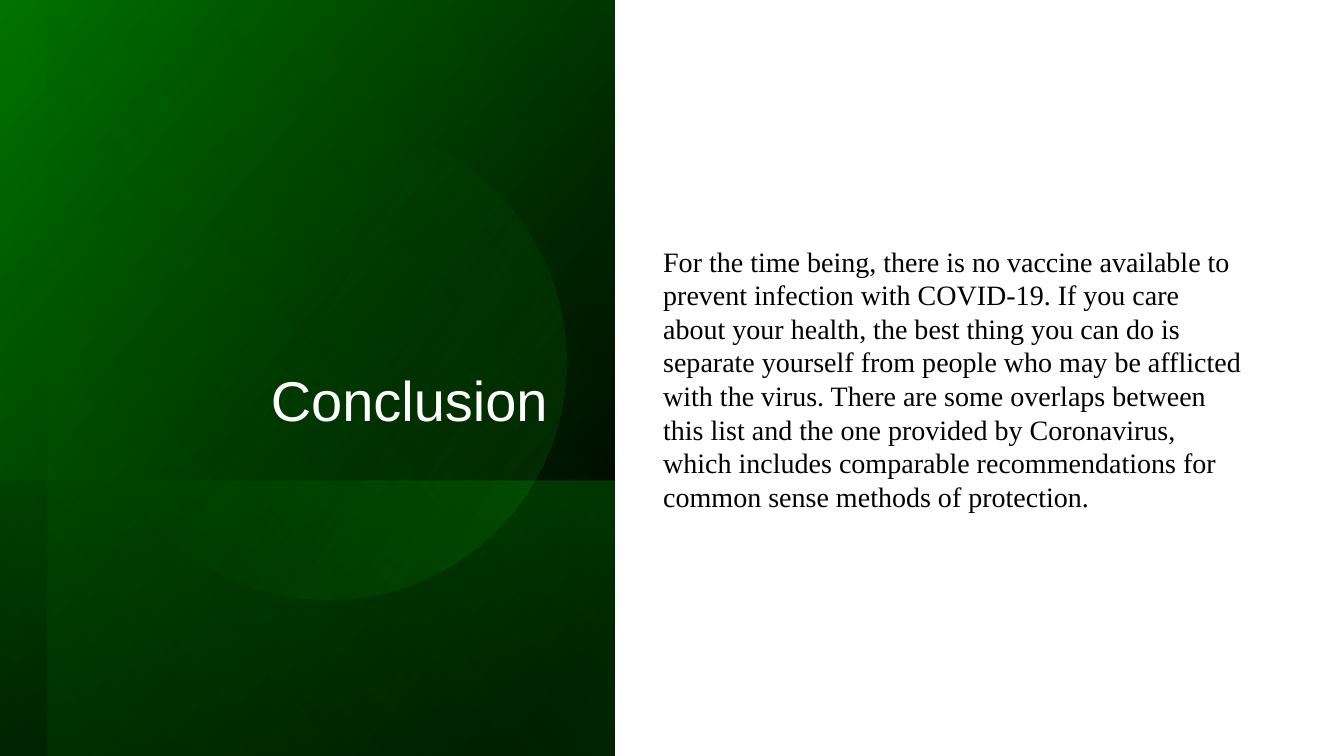
"""Build the Conclusion slide: a layered green gradient panel beside a closing paragraph."""
from lxml import etree
from pptx import Presentation
from pptx.dml.color import RGBColor
from pptx.enum.shapes import MSO_SHAPE
from pptx.enum.text import MSO_ANCHOR, PP_ALIGN
from pptx.oxml.ns import qn
from pptx.util import Pt

RECTANGLE, OVAL = MSO_SHAPE.RECTANGLE, MSO_SHAPE.OVAL
BOTTOM, MIDDLE = MSO_ANCHOR.BOTTOM, MSO_ANCHOR.MIDDLE
LEFT, RIGHT = PP_ALIGN.LEFT, PP_ALIGN.RIGHT

COLORS = {
    "black": "000000",
    "white": "FFFFFF",
    "deep green": "007300",
    "green": "009900",
    "bright green": "29FF29",
}

presentation = Presentation()
presentation.slide_width, presentation.slide_height = Pt(960), Pt(540)
slide = presentation.slides.add_slide(presentation.slide_layouts[6])

# kind, box, rotation, flipped, gradient angle, stops of (position, color, opacity)
LAYERS = [
    (RECTANGLE, (-50.4, 50.4, 540, 439.2), 90, True, 50,
     [(8, "black", 100), (100, "deep green", 100)]),
    (RECTANGLE, (120.6, 222, 197.3, 439.2), 90, True, 130,
     [(2, "green", 29), (100, "black", 30)]),
    (RECTANGLE, (-33.4, 67.2, 540, 405.4), 90, True, 130,
     [(0, "black", 0), (99, "green", 11)]),
    (OVAL, (64.8, 88.6, 339.8, 339.8), 101.6, False, 290,
     [(39, "green", 0), (100, "bright green", 15)]),
]

for kind, box, rotation, flipped, angle, stops in LAYERS:
    shape = slide.shapes.add_shape(kind, *map(Pt, box))
    shape.shadow.inherit = False
    shape.rotation = rotation
    shape.line.fill.background()
    shape.fill.gradient()
    shape.fill.gradient_angle = 360 - angle
    for stop, (position, color, opacity) in zip(shape.fill.gradient_stops, stops):
        stop.position = position / 100
        stop.color.rgb = RGBColor.from_string(COLORS[color])
    properties = shape.element.spPr
    for node, (position, color, opacity) in zip(properties.iter(qn("a:srgbClr")), stops):
        if opacity < 100:
            etree.SubElement(node, qn("a:alpha")).set("val", str(opacity * 1000))
    if flipped:
        properties.find(qn("a:xfrm")).set("flipH", "1")

CONCLUSION = (
    "For the time being, there is no vaccine available to prevent infection with "
    "COVID-19. If you care about your health, the best thing you can do is separate "
    "yourself from people who may be afflicted with the virus. There are some overlaps "
    "between this list and the one provided by Coronavirus, which includes comparable "
    "recommendations for common sense methods of protection."
)

TEXTS = [
    ("Conclusion", (64.8, 46.1, 333.4, 266.4), BOTTOM, RIGHT, "white",
     {"name": "Arial", "size": Pt(40)}),
    (CONCLUSION, (466.6, 53.3, 428.4, 434.2), MIDDLE, LEFT, "black",
     {"name": "Times New Roman", "size": Pt(20)}),
]

for text, box, anchor, alignment, color, font_format in TEXTS:
    frame = slide.shapes.add_textbox(*map(Pt, box)).text_frame
    frame.word_wrap = True
    frame.vertical_anchor = anchor
    paragraph = frame.paragraphs[0]
    paragraph.alignment = alignment
    run = paragraph.add_run()
    run.text = text
    run.font.color.rgb = RGBColor.from_string(COLORS[color])
    for name, value in font_format.items():
        setattr(run.font, name, value)

presentation.save("out.pptx")
